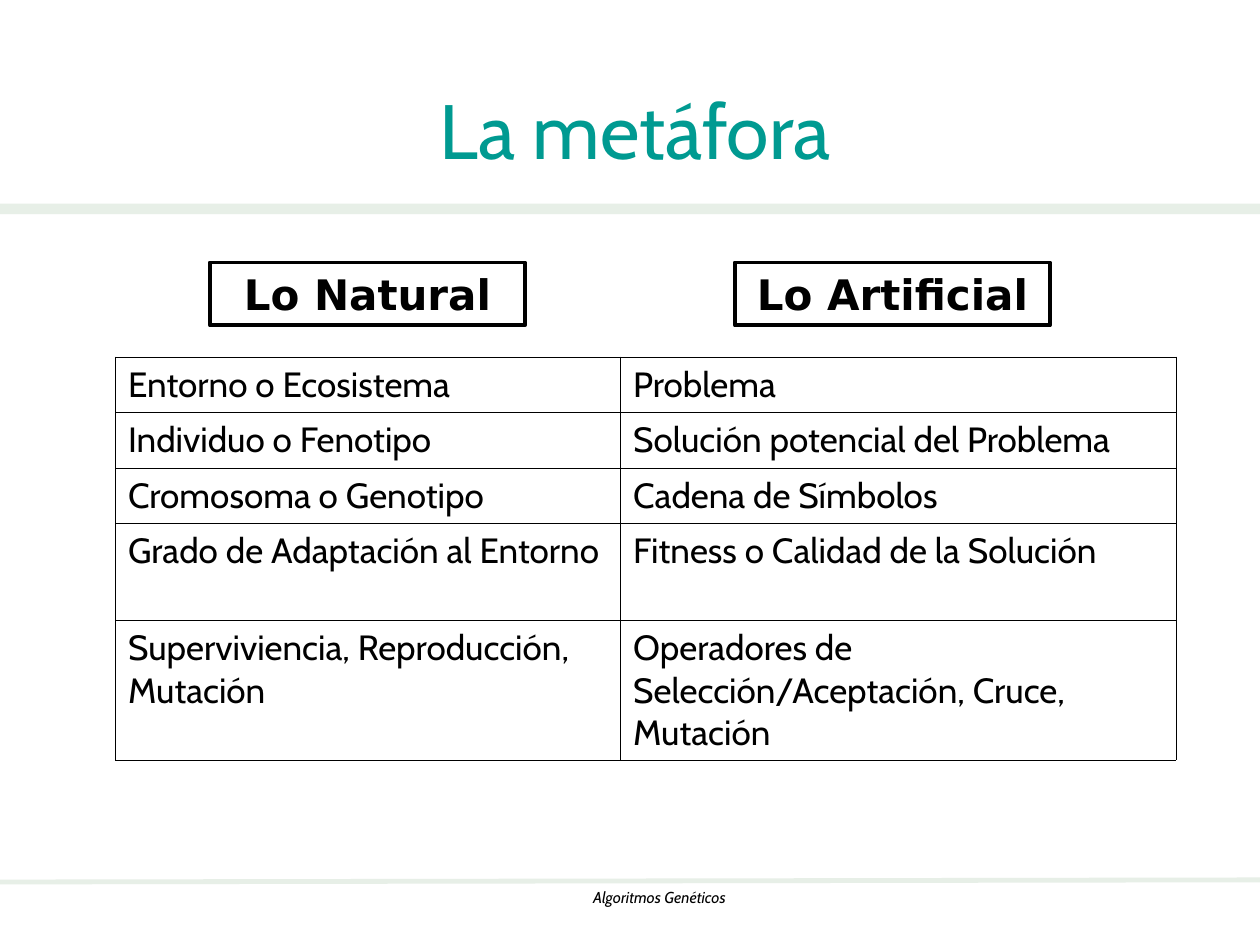
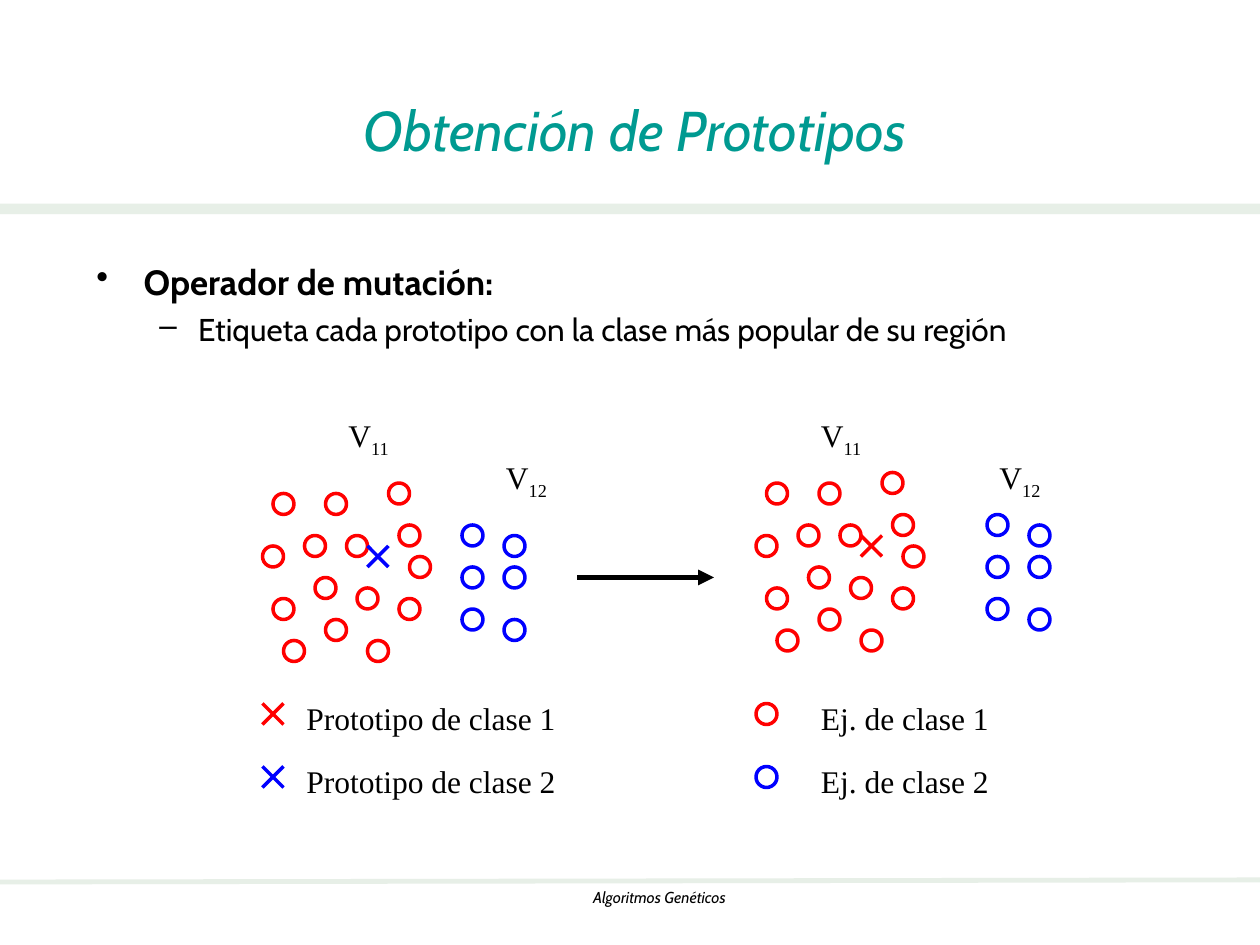
from pptx import Presentation
from pptx.dml.color import RGBColor
from pptx.enum.shapes import MSO_CONNECTOR, MSO_SHAPE
from pptx.enum.text import MSO_ANCHOR, PP_ALIGN
from pptx.oxml import parse_xml
from pptx.oxml.ns import nsdecls, qn
from pptx.oxml.xmlchemy import OxmlElement
from pptx.util import Emu, Pt

RECTANGLE, OVAL = MSO_SHAPE.RECTANGLE, MSO_SHAPE.OVAL
STRAIGHT = MSO_CONNECTOR.STRAIGHT
LEFT, CENTER = PP_ALIGN.LEFT, PP_ALIGN.CENTER
TOP, MIDDLE = MSO_ANCHOR.TOP, MSO_ANCHOR.MIDDLE

EMU_PER_PX = 7620
PAGE_WIDTH, PAGE_HEIGHT = 1200, 900
MARK = 20

BLACK, TEAL, PALE = "000000", "009A91", "E7EFE7"
RED, BLUE = "FF0000", "0000FF"
SANS, HEADING, SERIF = "Cabin", "DejaVu Sans", "Times New Roman"

TABLE_ROWS = [
    (53, "Entorno o Ecosistema", "Problema"),
    (53, "Individuo o Fenotipo", "Solución potencial del Problema"),
    (53, "Cromosoma o Genotipo", "Cadena de Símbolos"),
    (92, "Grado de Adaptación al Entorno", "Fitness o Calidad de la Solución"),
    (133, "Superviviencia, Reproducción, Mutación",
     "Operadores de Selección/Aceptación, Cruce, Mutación"),
]
TABLE_COLUMNS = (481, 529)

CLASS_1_EXAMPLES = [
    (260, 470), (310, 470), (250, 520), (290, 510), (330, 510),
    (300, 550), (340, 560), (310, 590), (260, 570), (350, 610),
    (390, 530), (370, 460), (270, 610), (380, 500), (380, 570),
]
CLASS_2_EXAMPLES = [
    (440, 500), (480, 510), (440, 540), (480, 540), (480, 590), (440, 580),
]
PROTOTYPE = (350, 520)


def px(*lengths):
    """Turn pixel lengths into EMU."""
    return [Emu(length * EMU_PER_PX) for length in lengths]


def rgb(color):
    """Turn a hex string into a colour."""
    return RGBColor.from_string(color)


def write_span(para, text, size=18, font=SANS, color=BLACK, bold=False,
               italic=False, baseline=0):
    """Add one formatted run of text to a paragraph."""
    span = para.add_run()
    span.text = text
    span.font.size = Pt(size)
    span.font.name = font
    span.font.color.rgb = rgb(color)
    span.font.bold = bold
    span.font.italic = italic
    if baseline:
        span._r.get_or_add_rPr().set("baseline", str(baseline * 1000))


def set_bullet(para, char, margin, hanging):
    """Give a paragraph a bullet with a hanging indent."""
    properties = para._p.get_or_add_pPr()
    properties.set("marL", str(margin * EMU_PER_PX))
    properties.set("indent", str(-hanging * EMU_PER_PX))
    bullet = OxmlElement("a:buChar")
    bullet.set("char", char)
    properties.append(bullet)


def add_text(shapes, text, box, align=LEFT, anchor=TOP, **style):
    """Add a wrapping text box and return its first paragraph."""
    frame = shapes.add_textbox(*px(*box)).text_frame
    frame.word_wrap = True
    frame.vertical_anchor = anchor
    para = frame.paragraphs[0]
    para.alignment = align
    write_span(para, text, **style)
    return para


def add_shape(shapes, kind, box, fill=None, line=None, width=2):
    """Add a flat preset shape with an optional fill and outline."""
    shape = shapes.add_shape(kind, *px(*box))
    shape.shadow.inherit = False
    if fill:
        shape.fill.solid()
        shape.fill.fore_color.rgb = rgb(fill)
    else:
        shape.fill.background()
    if line:
        shape.line.color.rgb = rgb(line)
        shape.line.width = Pt(width)
    else:
        shape.line.fill.background()
    return shape


def add_line(shapes, start, end, color, width=2, arrow=False):
    """Add a straight line, with an arrowhead at its end on request."""
    line = shapes.add_connector(STRAIGHT, *px(*start, *end))
    line.line.color.rgb = rgb(color)
    line.line.width = Pt(width)
    properties = line._element.spPr
    if arrow:
        head = OxmlElement("a:tailEnd")
        head.set("type", "triangle")
        properties.find(qn("a:ln")).append(head)
    properties.append(OxmlElement("a:effectLst"))


def add_example(shapes, x, y, color):
    """Draw the ring that stands for an example."""
    add_shape(shapes, OVAL, (x, y, MARK, MARK), line=color)


def add_prototype(shapes, x, y, color):
    """Draw the cross that stands for a prototype."""
    add_line(shapes, (x, y), (x + MARK, y + MARK), color)
    add_line(shapes, (x, y + MARK), (x + MARK, y), color)


def add_region_label(shapes, index, x, y):
    """Write V with a subscript index."""
    para = add_text(shapes, "V", (x, y, 80, 53), font=SERIF)
    write_span(para, index, font=SERIF, baseline=-25)


def add_legend(shapes, draw_mark, label, mark_x, label_x):
    """List the marks of both classes with their labels."""
    for number, color in enumerate((RED, BLUE), 1):
        y = 610 + 60 * number
        draw_mark(shapes, mark_x, y, color)
        add_text(shapes, f"{label} {number}", (label_x, y - 10, 270, 48), font=SERIF)


def add_scatter(shapes, prototype_color, class_1_shift, class_2_shift, rise):
    """Draw the examples of both classes and the prototype."""
    for x, y in CLASS_1_EXAMPLES:
        add_example(shapes, x + class_1_shift, y - rise, RED)
    for x, y in CLASS_2_EXAMPLES:
        add_example(shapes, x + class_2_shift, y - rise, BLUE)
    x, y = PROTOTYPE
    add_prototype(shapes, x + class_1_shift, y - rise, prototype_color)


def add_page(deck, title, size, italic=False):
    """Add a page with the common band, footer and title."""
    page = deck.slides.add_slide(deck.slide_layouts[6])
    add_line(page.shapes, (0, 840), (PAGE_WIDTH, 838), PALE, 2.75)
    add_shape(page.shapes, RECTANGLE, (0, 194, PAGE_WIDTH, 10), fill=PALE)
    add_text(page.shapes, "Algoritmos Genéticos", (278, 840, 700, 30),
             align=CENTER, size=9, italic=italic or True)
    add_text(page.shapes, title, (80, 62, 1050, 122), align=CENTER,
             anchor=MIDDLE, size=size, color=TEAL, italic=italic)
    return page


def set_borders(cell, color, width):
    """Draw all four borders of a table cell."""
    properties = cell._tc.get_or_add_tcPr()
    for side in ("lnL", "lnR", "lnT", "lnB"):
        properties.append(parse_xml(
            f'<a:{side} {nsdecls("a")} w="{Pt(width)}"><a:solidFill>'
            f'<a:srgbClr val="{color}"/></a:solidFill></a:{side}>'))


def add_comparison_table(shapes):
    """Add the table that pairs natural and artificial terms."""
    height = sum(row[0] for row in TABLE_ROWS)
    table = shapes.add_table(len(TABLE_ROWS), len(TABLE_COLUMNS),
                             *px(110, 340, sum(TABLE_COLUMNS), height)).table
    table.first_row = table.horz_banding = False
    for column, width in zip(table.columns, TABLE_COLUMNS):
        column.width = px(width)[0]
    for row, (height, *terms) in zip(table.rows, TABLE_ROWS):
        row.height = px(height)[0]
        for cell, term in zip(row.cells, terms):
            set_borders(cell, BLACK, 0.45)
            cell.fill.background()
            write_span(cell.text_frame.paragraphs[0], term, size=20)


def add_heading(shapes, text, x):
    """Add a framed column heading."""
    frame = add_shape(shapes, RECTANGLE, (x, 250, 300, 60), line=BLACK,
                      width=2.25).text_frame
    frame.vertical_anchor = TOP
    para = frame.paragraphs[0]
    para.alignment = CENTER
    write_span(para, text, size=24, font=HEADING, bold=True)


def build_metaphor(deck):
    """Build the page that compares nature with the algorithm."""
    page = add_page(deck, "La metáfora", 44)
    add_comparison_table(page.shapes)
    add_heading(page.shapes, "Lo Natural", 200)
    add_heading(page.shapes, "Lo Artificial", 700)


def build_prototypes(deck):
    """Build the page on the mutation operator."""
    page = add_page(deck, "Obtención de Prototipos", 32, italic=True)

    before = page.shapes.add_group_shape().shapes
    add_scatter(before, BLUE, 0, 0, 0)
    add_region_label(before, "11", 320, 390)
    add_region_label(before, "12", 470, 430)
    add_legend(before, add_prototype, "Prototipo de clase", 250, 280)

    after = page.shapes.add_group_shape().shapes
    add_scatter(after, RED, 470, 500, 10)
    add_region_label(after, "11", 770, 390)
    add_region_label(after, "12", 940, 430)
    add_line(after, (550, 550), (680, 550), BLACK, 3, arrow=True)
    add_legend(after, add_example, "Ej. de clase", 720, 770)

    operator = add_text(page.shapes, "Operador de mutación:",
                        (80, 242, 990, 576), size=20, bold=True)
    set_bullet(operator, "•", 45, 45)
    detail = operator._parent.add_paragraph()
    set_bullet(detail, "–", 97, 37)
    detail.level = 1
    detail.space_before = Pt(4.5)
    write_span(detail, "Etiqueta cada prototipo con la clase más popular de su región")


def main():
    """Build and save the deck."""
    deck = Presentation()
    deck.slide_width, deck.slide_height = px(PAGE_WIDTH, PAGE_HEIGHT)
    build_metaphor(deck)
    build_prototypes(deck)
    deck.save("out.pptx")


if __name__ == "__main__":
    main()
